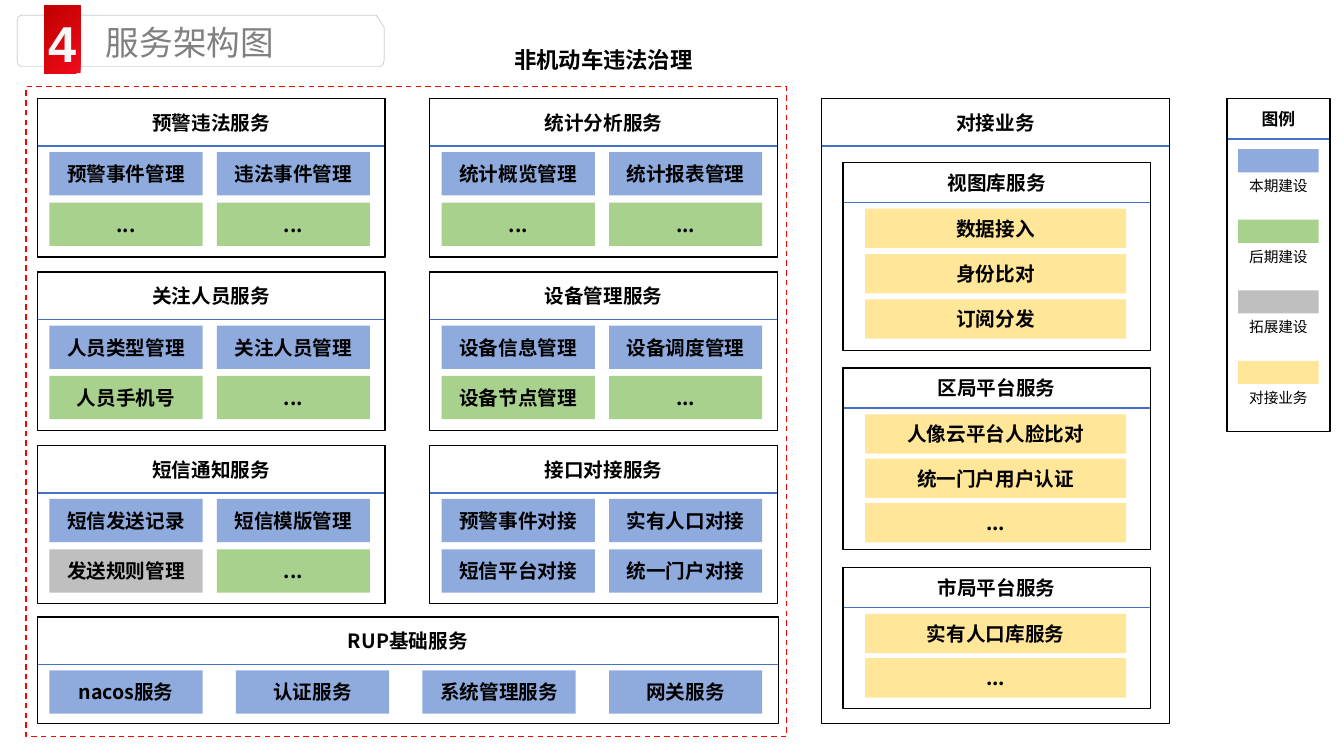
from collections import namedtuple
from dataclasses import dataclass

from lxml.etree import SubElement
from pptx import Presentation
from pptx.dml.color import RGBColor
from pptx.enum.dml import MSO_LINE_DASH_STYLE as Dash
from pptx.enum.shapes import MSO_SHAPE as Shape
from pptx.enum.text import MSO_ANCHOR as Anchor, MSO_AUTO_SIZE as AutoSize, PP_ALIGN as Align
from pptx.oxml.ns import qn
from pptx.util import Pt

PX = 9144
Box = namedtuple("Box", "left top width height")


@dataclass(frozen=True)
class Theme:
    font: str = "Noto Sans CJK SC"
    number_font: str = "Arial"
    ink: str = "000000"
    paper: str = "FFFFFF"
    title_ink: str = "808080"
    number_ink: str = "F8F8F8"
    tab_line: str = "A8A9AD"
    badge_light: str = "EF0B1B"
    badge_dark: str = "C00000"
    header_line: str = "4472C4"
    scope_line: str = "FF0000"
    current: str = "8FAADC"
    later: str = "A9D18E"
    extension: str = "BFBFBF"
    partner: str = "FFE699"
    title_size: float = 24
    number_size: float = 36
    scope_size: float = 16
    body_size: float = 14
    legend_size: float = 12
    label_size: float = 10.5


THEME = Theme()
NOW, LATER, EXTRA = THEME.current, THEME.later, THEME.extension

SERVICES = [
    [("预警违法服务", [("预警事件管理", NOW), ("违法事件管理", NOW), ("...", LATER), ("...", LATER)]),
     ("统计分析服务", [("统计概览管理", NOW), ("统计报表管理", NOW), ("...", LATER), ("...", LATER)])],
    [("关注人员服务", [("人员类型管理", NOW), ("关注人员管理", NOW), ("人员手机号", LATER), ("...", LATER)]),
     ("设备管理服务", [("设备信息管理", NOW), ("设备调度管理", NOW), ("设备节点管理", LATER), ("...", LATER)])],
    [("短信通知服务", [("短信发送记录", NOW), ("短信模版管理", NOW), ("发送规则管理", EXTRA), ("...", LATER)]),
     ("接口对接服务", [("预警事件对接", NOW), ("实有人口对接", NOW), ("短信平台对接", NOW), ("统一门户对接", NOW)])],
]
BASE_SERVICES = [(name, NOW) for name in ("nacos服务", "认证服务", "系统管理服务", "网关服务")]
PARTNERS = [
    (63, 187, 45, "视图库服务", ["数据接入", "身份比对", "订阅分发"]),
    (267, 180, 44, "区局平台服务", ["人像云平台人脸比对", "统一门户用户认证", "..."]),
    (465, 140, 44, "市局平台服务", ["实有人口库服务", "..."]),
]
LEGEND = [("本期建设", NOW), ("后期建设", LATER), ("拓展建设", EXTRA), ("对接业务", THEME.partner)]


def emu(box):
    return [length * PX for length in box]


def rgb(color):
    return RGBColor.from_string(color)


def write(shape, words, size, color=THEME.ink, bold=True, font=THEME.font,
          align=Align.CENTER, anchor=Anchor.MIDDLE, wrap=True):
    frame = shape.text_frame
    frame.text = words
    frame.word_wrap = wrap
    frame.auto_size = AutoSize.NONE
    frame.vertical_anchor = anchor
    paragraph = frame.paragraphs[0]
    paragraph.alignment = align
    for run in paragraph.runs:
        run.font.name = font
        run.font.size = Pt(size)
        run.font.bold = bold
        run.font.color.rgb = rgb(color)
        SubElement(run.font._element, qn("a:ea")).set("typeface", font)


def add_rect(slide, box, fill=None, line=None):
    rect = slide.shapes.add_shape(Shape.RECTANGLE, *emu(box))
    rect.shadow.inherit = False
    if fill:
        rect.fill.solid()
        rect.fill.fore_color.rgb = rgb(fill)
    else:
        rect.fill.background()
    if line:
        rect.line.color.rgb = rgb(line)
        rect.line.width = Pt(1)
    else:
        rect.line.fill.background()
    return rect


def add_panel(slide, box, heading, header_height, size=THEME.body_size):
    header = add_rect(slide, box._replace(height=header_height), line=THEME.header_line)
    write(header, heading, size)
    add_rect(slide, box, line=THEME.ink)


def add_title_region(slide, box):
    left, top, width, height = box
    right, bottom = left + width, top + height
    outline = [(left + 4, top), (right - 8, top), (right, top + 12), (right, bottom - 6),
               (right - 1, bottom - 2), (right - 4, bottom), (left + 4, bottom),
               (left + 1, bottom - 2), (left, bottom - 6), (left, top + 6), (left + 1, top + 2)]
    builder = slide.shapes.build_freeform(*outline[0], scale=PX)
    builder.add_line_segments(outline[1:], close=True)
    tab = builder.convert_to_shape()
    tab.shadow.inherit = False
    tab.fill.solid()
    tab.fill.fore_color.rgb = rgb(THEME.paper)
    tab.line.color.rgb = rgb(THEME.tab_line)
    tab.line.width = Pt(0.25)

    badge = add_rect(slide, Box(left + 27, top - 9, 36, 67), fill=THEME.badge_light)
    badge.fill.gradient()
    badge.fill.gradient_angle = 135
    for stop, color in zip(badge.fill.gradient_stops, (THEME.badge_light, THEME.badge_dark)):
        stop.color.rgb = rgb(color)

    title = slide.shapes.title
    title.left, title.top, title.width, title.height = emu((left + 78, top + 2, 187, 50))
    write(title, "服务架构图", THEME.title_size, THEME.title_ink, bold=False,
          align=Align.LEFT, anchor=Anchor.TOP, wrap=False)
    slide.shapes._spTree.append(title._element)

    number = slide.shapes.add_textbox(*emu((left + 21, top - 8, 51, 71)))
    write(number, "4", THEME.number_size, THEME.number_ink, font=THEME.number_font,
          align=Align.LEFT, anchor=Anchor.TOP)


def add_service_group(slide, box, heading, services, columns, pitch):
    add_panel(slide, box, heading, 47)
    for index, (name, color) in enumerate(services):
        row, column = divmod(index, columns)
        cell = Box(box.left + 12 + column * pitch, box.top + 53 + row * 50, 152, 43)
        write(add_rect(slide, cell, fill=color), name, THEME.body_size)


def add_scope_region(slide, box):
    for row, groups in enumerate(SERVICES):
        for column, (heading, services) in enumerate(groups):
            group = Box(box.left + 11 + column * 389, box.top + 12 + row * 172, 345, 157)
            add_service_group(slide, group, heading, services, 2, 166)
    base = Box(box.left + 11, box.top + 526, 735, 106)
    add_service_group(slide, base, "RUP基础服务", BASE_SERVICES, 4, 185)
    add_rect(slide, box, line=THEME.scope_line).line.dash_style = Dash.DASH
    caption = slide.shapes.add_textbox(*emu((box.left + 422, box.top - 45, 301, 37)))
    write(caption, "非机动车违法治理", THEME.scope_size, anchor=Anchor.TOP)


def add_partner_region(slide, box):
    add_panel(slide, box, "对接业务", 47)
    for offset, height, pitch, heading, services in PARTNERS:
        group = Box(box.left + 21, box.top + offset, 305, height)
        add_panel(slide, group, heading, 40)
        for row, name in enumerate(services):
            bar = Box(group.left + 22, group.top + 46 + row * pitch, 259, 39)
            write(add_rect(slide, bar, fill=THEME.partner), name, THEME.body_size)


def add_legend_region(slide, box):
    add_panel(slide, box, "图例", 40, THEME.legend_size)
    for row, (name, color) in enumerate(LEGEND):
        swatch = Box(box.left + 11, box.top + 50 + row * 70, 80, 23)
        add_rect(slide, swatch, fill=color)
        label = add_rect(slide, swatch._replace(top=swatch.top + 24, height=25), line=THEME.paper)
        write(label, name, THEME.label_size, bold=False)


def main():
    deck = Presentation()
    deck.slide_width, deck.slide_height = 1333 * PX, 750 * PX
    slide = deck.slides.add_slide(deck.slide_layouts[5])
    add_title_region(slide, Box(17, 15, 364, 51))
    add_scope_region(slide, Box(26, 86, 754, 645))
    add_partner_region(slide, Box(815, 98, 345, 620))
    add_legend_region(slide, Box(1217, 98, 102, 330))
    deck.save("out.pptx")


if __name__ == "__main__":
    main()
